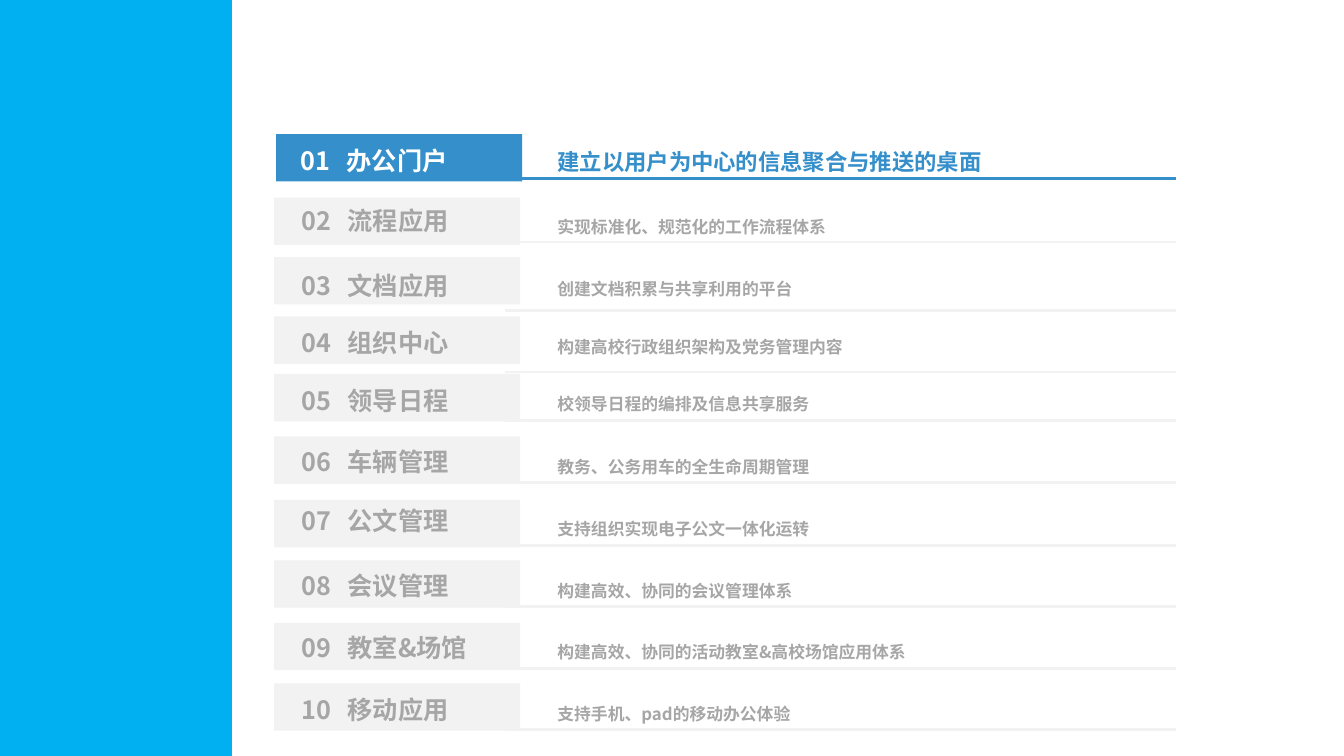
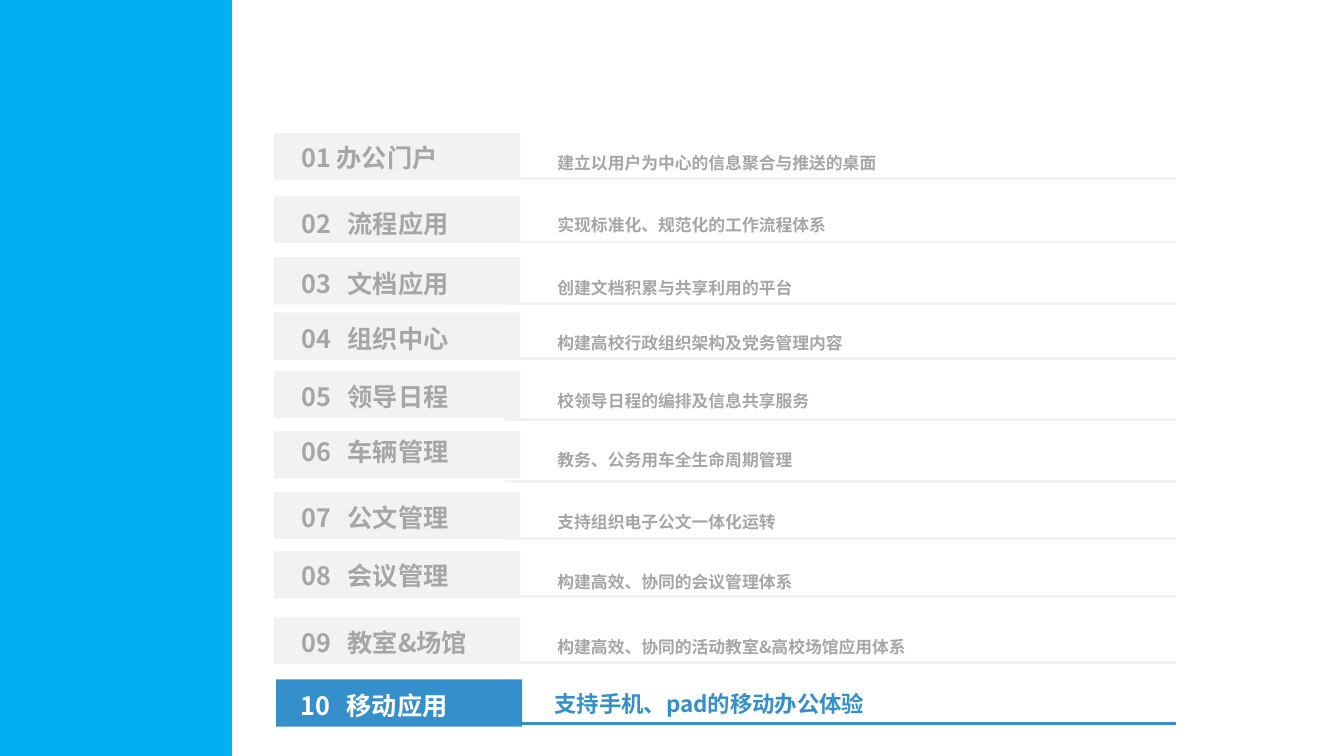
from dataclasses import dataclass

from lxml import etree
from pptx import Presentation
from pptx import util as u
from pptx.dml import color
from pptx.enum import shapes, text
from pptx.oxml import ns

EMU_PER_PX = 9144
SLIDE_W, SLIDE_H = 1333, 750
FONT = "Noto Sans CJK SC"
PANEL, ACCENT, PALE, GREY, WHITE = "00B0F0", "358FCB", "F2F2F2", "A6A6A6", "FFFFFF"
PANEL_W = 229
TAB_W, TAB_H = 244, 47
RULE_LEFT, RULE_RIGHT = 501, 1166
NAME_STOP = 46


@dataclass
class RowStyle:
    tab_left: int
    label_left: int
    summary_left: int
    tab_color: str
    label_color: str
    summary_color: str
    summary_size: int
    summary_height: int


QUIET = RowStyle(272, 289, 543, PALE, GREY, GREY, 12, 30)

TOPICS = [
    ("办公门户", "建立以用户为中心的信息聚合与推送的桌面"),
    ("流程应用", "实现标准化、规范化的工作流程体系"),
    ("文档应用", "创建文档积累与共享利用的平台"),
    ("组织中心", "构建高校行政组织架构及党务管理内容"),
    ("领导日程", "校领导日程的编排及信息共享服务"),
    ("车辆管理", "教务、公务用车的全生命周期管理"),
    ("公文管理", "支持组织实现电子公文一体化运转"),
    ("会议管理", "构建高效、协同的会议管理体系"),
    ("教室&场馆", "构建高效、协同的活动教室&高校场馆应用体系"),
    ("移动应用", "支持手机、pad的移动办公体验"),
]
SHORT_SUMMARIES = {
    6: "教务、公务用车全生命周期管理",
    7: "支持组织电子公文一体化运转",
}

# Each row: tab top, then offsets of label, summary and rule.
OPENING_ROWS = [
    (133, 6, 9, 44), (196, 3, 14, 44), (255, 8, 17, 53), (314, 6, 15, 55),
    (371, 6, 15, 46), (433, 5, 15, 46), (496, 0, 14, 45), (556, 5, 15, 46),
    (618, 4, 14, 45), (678, 6, 15, 46),
]
CLOSING_ROWS = [
    (132, 4, 15, 45), (194, 8, 14, 46), (255, 6, 16, 46), (310, 6, 15, 46),
    (368, 5, 15, 48), (428, 0, 13, 50), (488, 5, 15, 46), (547, 4, 15, 45),
    (612, 5, 15, 45), (674, 6, 6, 44),
]


def px(length):
    return u.Emu(length * EMU_PER_PX)


def rgb(value):
    return color.RGBColor.from_string(value)


def add_block(slide, left, top, width, height, fill, border=None):
    block = slide.shapes.add_shape(
        shapes.MSO_SHAPE.RECTANGLE, px(left), px(top), px(width), px(height))
    block.shadow.inherit = False
    block.fill.solid()
    block.fill.fore_color.rgb = rgb(fill)
    if border:
        block.line.color.rgb = rgb(fill)
        block.line.width = u.Pt(border)
    else:
        block.line.fill.background()


def add_rule(slide, left, right, y, tint):
    rule = slide.shapes.add_connector(
        shapes.MSO_CONNECTOR.STRAIGHT, px(left), px(y), px(right), px(y))
    rule.line.color.rgb = rgb(tint)
    rule.line.width = u.Pt(2)
    etree.SubElement(rule._element.spPr, ns.qn("a:effectLst"))


def add_words(slide, left, top, width, height, words, size, tint):
    box = slide.shapes.add_textbox(px(left), px(top), px(width), px(height))
    frame = box.text_frame
    frame.word_wrap = True
    frame.auto_size = text.MSO_AUTO_SIZE.SHAPE_TO_FIT_TEXT
    frame.text = words
    paragraph = frame.paragraphs[0]
    for run in paragraph.runs:
        run.font.size = u.Pt(size)
        run.font.bold = True
        run.font.name = FONT
        run.font.color.rgb = rgb(tint)
        east_asian = etree.SubElement(run._r.get_or_add_rPr(), ns.qn("a:ea"))
        east_asian.set("typeface", FONT)
    return paragraph


def set_tab_stop(paragraph, position):
    stops = etree.SubElement(paragraph._p.get_or_add_pPr(), ns.qn("a:tabLst"))
    stop = etree.SubElement(stops, ns.qn("a:tab"))
    stop.set("pos", str(px(position)))
    stop.set("algn", "l")


def add_topic_row(slide, row, label, summary, style):
    top, label_dy, summary_dy, rule_dy = row
    add_block(slide, style.tab_left, top, TAB_W, TAB_H, style.tab_color)
    heading = add_words(slide, style.label_left, top + label_dy, 235, 40,
                        label, 18, style.label_color)
    set_tab_stop(heading, NAME_STOP)
    add_rule(slide, RULE_LEFT, RULE_RIGHT, top + rule_dy, style.tab_color)
    add_words(slide, style.summary_left, top + summary_dy, 669, style.summary_height,
              summary, style.summary_size, style.summary_color)


def add_agenda(deck, rows, active, active_summary_left, summaries, tight=()):
    slide = deck.slides.add_slide(deck.slide_layouts[6])
    add_block(slide, 0, 0, PANEL_W, SLIDE_H, PANEL, border=1.5)
    highlight = RowStyle(274, 288, active_summary_left, ACCENT, WHITE, ACCENT, 16, 37)
    for number, (row, (name, summary)) in enumerate(zip(rows, TOPICS), 1):
        gap = " " if number in tight else "\t"
        add_topic_row(slide, row, f"{number:02d}{gap}{name}",
                      summaries.get(number, summary),
                      highlight if number == active else QUIET)


def main():
    deck = Presentation()
    deck.slide_width, deck.slide_height = px(SLIDE_W), px(SLIDE_H)
    add_agenda(deck, OPENING_ROWS, 1, 543, {})
    add_agenda(deck, CLOSING_ROWS, 10, 540, SHORT_SUMMARIES, tight=(1,))
    deck.save("out.pptx")


if __name__ == "__main__":
    main()
